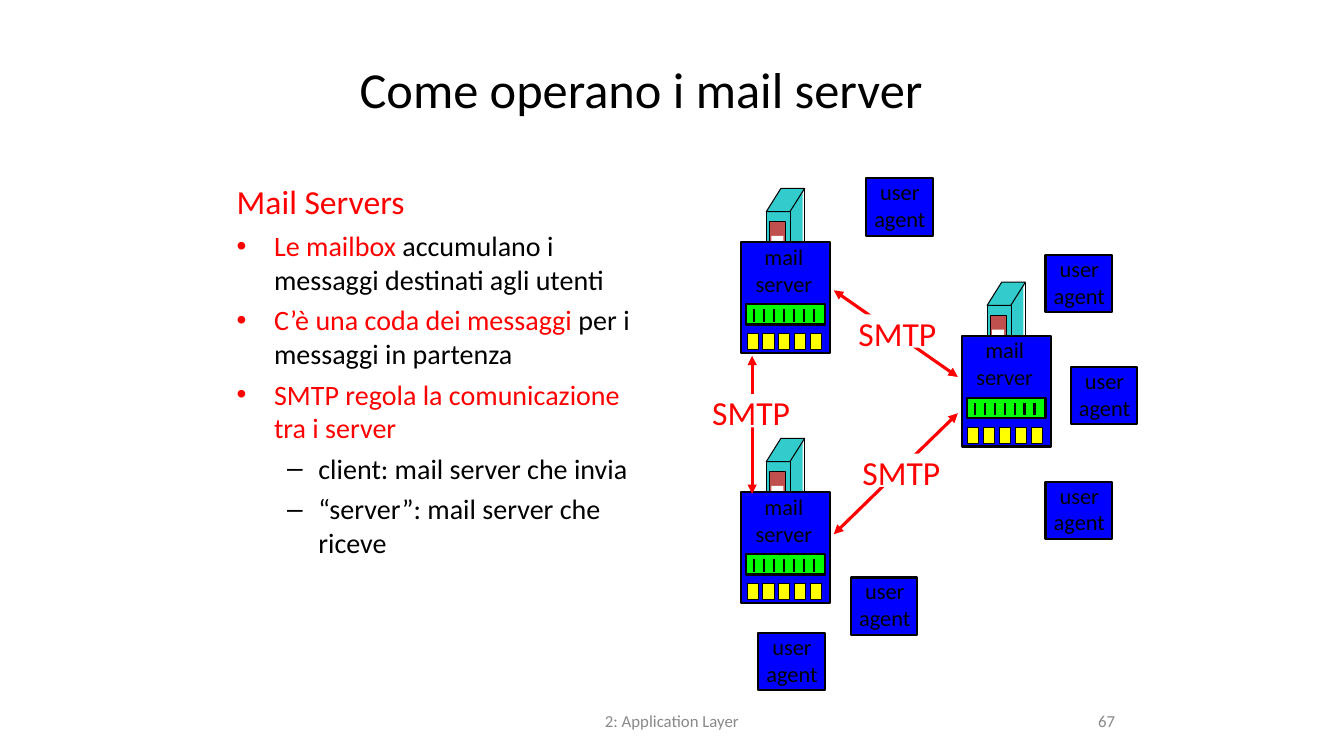
from lxml import etree
from pptx import Presentation
from pptx.dml.color import RGBColor
from pptx.enum.shapes import MSO_CONNECTOR, MSO_SHAPE
from pptx.enum.text import MSO_ANCHOR, MSO_AUTO_SIZE, PP_ALIGN
from pptx.oxml.ns import qn
from pptx.util import Inches, Pt

BLACK = RGBColor(0x00, 0x00, 0x00)
WHITE = RGBColor(0xFF, 0xFF, 0xFF)
RED = RGBColor(0xFF, 0x00, 0x00)
BLUE = RGBColor(0x00, 0x00, 0xFF)
GREEN = RGBColor(0x00, 0xFF, 0x00)
YELLOW = RGBColor(0xFF, 0xFF, 0x00)
TEAL = RGBColor(0x33, 0xCC, 0xCC)
BRICK = RGBColor(0xC0, 0x50, 0x4D)
GREY = RGBColor(0x89, 0x89, 0x89)

RECT, SLANT = MSO_SHAPE.RECTANGLE, MSO_SHAPE.PARALLELOGRAM
STRAIGHT = MSO_CONNECTOR.STRAIGHT
LEFT, CENTER, RIGHT = PP_ALIGN.LEFT, PP_ALIGN.CENTER, PP_ALIGN.RIGHT
TOP, MIDDLE = MSO_ANCHOR.TOP, MSO_ANCHOR.MIDDLE
GROW = MSO_AUTO_SIZE.SHAPE_TO_FIT_TEXT


class Board:
    font = "Calibri"

    def __init__(self, slide):
        self.slide = slide
        self.home = slide.shapes

    def group(self):
        """Send the next elements into a new group."""
        self.home = self.slide.shapes.add_group_shape().shapes

    def ungroup(self):
        self.home = self.slide.shapes

    def box(self, x, y, w, h, fill, line=None, kind=RECT):
        shape = self.home.add_shape(kind, Inches(x), Inches(y), Inches(w), Inches(h))
        shape.shadow.inherit = False
        shape.fill.solid()
        shape.fill.fore_color.rgb = fill
        if line:
            shape.line.color.rgb = BLACK
            shape.line.width = Pt(line)
        else:
            shape.line.fill.background()
        return shape

    def line(self, x1, y1, x2, y2, color=BLACK, width=1.5, arrows=False):
        line = self.home.add_connector(
            STRAIGHT, Inches(x1), Inches(y1), Inches(x2), Inches(y2))
        line.line.color.rgb = color
        line.line.width = Pt(width)
        props = line._element.spPr
        if arrows:
            for end in ("a:headEnd", "a:tailEnd"):
                etree.SubElement(props.find(qn("a:ln")), qn(end), type="triangle")
        etree.SubElement(props, qn("a:effectLst"))

    def text(self, paras, x, y, w, h, size=16, color=BLACK, align=CENTER,
             anchor=TOP, wrap=True):
        """Add paragraphs: plain strings, or dicts with runs and format."""
        frame = self.home.add_textbox(
            Inches(x), Inches(y), Inches(w), Inches(h)).text_frame
        frame.word_wrap = wrap
        frame.vertical_anchor = anchor
        if not wrap:
            frame.auto_size = GROW
        for i, item in enumerate(paras):
            if isinstance(item, str):
                item = {"runs": [(item, color)]}
            para = frame.paragraphs[0] if i == 0 else frame.add_paragraph()
            para.alignment = align
            if "bullet" in item:
                self.bullet(para, **item["bullet"])
            for words, tint in item["runs"]:
                run = para.add_run()
                run.text = words
                run.font.name = self.font
                run.font.size = Pt(item.get("size", size))
                run.font.color.rgb = tint

    def bullet(self, para, mark, color, indent, hang, level):
        para.level = level
        para.space_before = Pt(5)
        props = para._p.get_or_add_pPr()
        props.set("marL", str(Inches(indent)))
        props.set("indent", str(-Inches(hang)))
        tint = etree.SubElement(props, qn("a:buClr"))
        etree.SubElement(tint, qn("a:srgbClr"), val=str(color))
        etree.SubElement(props, qn("a:buFont"), typeface="Arial")
        etree.SubElement(props, qn("a:buChar"), char=mark)

    def server(self, x, y):
        """Draw a mail server: tower, body, queue and mailboxes."""
        self.group()
        self.box(x + 0.44, y - 0.53, 0.17, 0.78, TEAL)
        self.box(x + 0.25, y - 0.3, 0.24, 0.78, TEAL, 0.75)
        roof = self.box(x + 0.25, y - 0.53, 0.38, 0.23, TEAL, 0.75, SLANT)
        roof.adjustments[0] = 0.63
        self.line(x + 0.63, y - 0.52, x + 0.63, y + 0.25, width=0.75)
        self.box(x + 0.28, y - 0.2, 0.16, 0.45, BRICK, 0.75)
        self.box(x + 0.3, y - 0.06, 0.12, 0.15, WHITE)
        self.box(x, y, 0.88, 1.1, BLUE, 1.5)
        self.text(["mail", "server"], x + 0.04, y - 0.04, 0.77, 0.64, wrap=False)
        self.box(x + 0.05, y + 0.62, 0.78, 0.2, GREEN, 1.5)
        for i in range(7):
            tick = x + 0.13 + 0.59 * i / 6
            self.line(tick, y + 0.67, tick, y + 0.79)
        for i in range(5):
            self.box(x + 0.06 + 0.63 * i / 4, y + 0.91, 0.11, 0.16, YELLOW, 0.75)
        self.ungroup()

    def agent(self, x, y):
        self.group()
        self.box(x, y, 0.66, 0.57, BLUE, 1.5)
        self.text(["user", "agent"], x - 0.02, y - 0.05, 0.71, 0.64, wrap=False)
        self.ungroup()

    def label(self, x, y):
        """Name a link on a white patch."""
        self.group()
        self.box(x, y, 0.93, 0.33, WHITE)
        self.text(["SMTP"], x - 0.02, y - 0.07, 0.98, 0.51,
                  size=24, color=RED, wrap=False)
        self.ungroup()


def point(*runs):
    return {"runs": runs, "bullet": dict(
        mark="•", color=RED, indent=0.37, hang=0.37, level=0)}


def dash(words):
    return {"runs": [(words, BLACK)], "bullet": dict(
        mark="–", color=BLACK, indent=0.81, hang=0.31, level=1)}


BODY = [
    {"runs": [("Mail Servers", RED)], "size": 24},
    point(("Le mailbox", RED), (" accumulano i messaggi destinati agli utenti", BLACK)),
    point(("C’è una coda dei messaggi", RED), (" per i messaggi in partenza", BLACK)),
    point(("SMTP regola la comunicazione tra i server", RED)),
    dash("client: mail server che invia"),
    dash("“server”: mail server che riceve"),
]
SERVERS = [(9.54, 3.33), (7.35, 4.88), (7.35, 2.4)]
AGENTS = [(10.37, 2.53), (10.62, 3.64), (10.37, 4.78),
          (8.44, 5.73), (7.52, 6.28), (8.59, 1.77)]
LINKS = [(8.27, 2.88, 9.5, 3.74), (8.27, 5.3, 9.5, 4.1), (7.46, 4.9, 7.46, 3.53)]
LABELS = [(8.47, 4.5), (8.43, 3.12), (6.98, 3.91)]


def main():
    deck = Presentation()
    deck.slide_width, deck.slide_height = Inches(13.33), Inches(7.5)
    board = Board(deck.slides.add_slide(deck.slide_layouts[6]))
    board.text(["Come operano i mail server"], 2.11, 0.25, 8.5, 1.25,
               size=36, anchor=MIDDLE)
    board.text(BODY, 2.25, 1.75, 4.3, 5.08, size=20, align=LEFT)
    board.text(["2: Application Layer"], 5.08, 6.95, 3.17, 0.4,
               size=12, color=GREY, anchor=MIDDLE)
    board.text(["67"], 8.83, 6.95, 2.33, 0.4,
               size=12, color=GREY, align=RIGHT, anchor=MIDDLE)
    for spot in SERVERS:
        board.server(*spot)
    for spot in AGENTS:
        board.agent(*spot)
    for ends in LINKS:
        board.line(*ends, color=RED, width=2.25, arrows=True)
    for spot in LABELS:
        board.label(*spot)
    deck.save("out.pptx")


if __name__ == "__main__":
    main()
